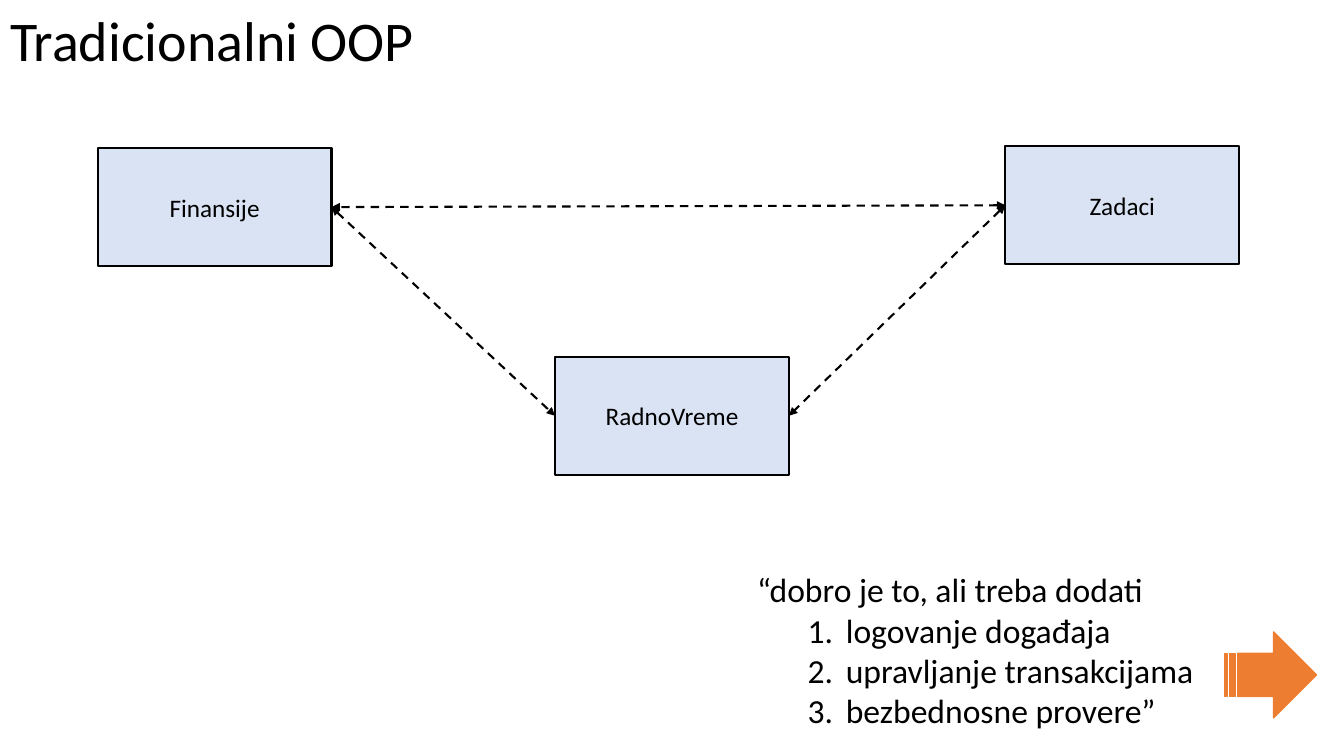
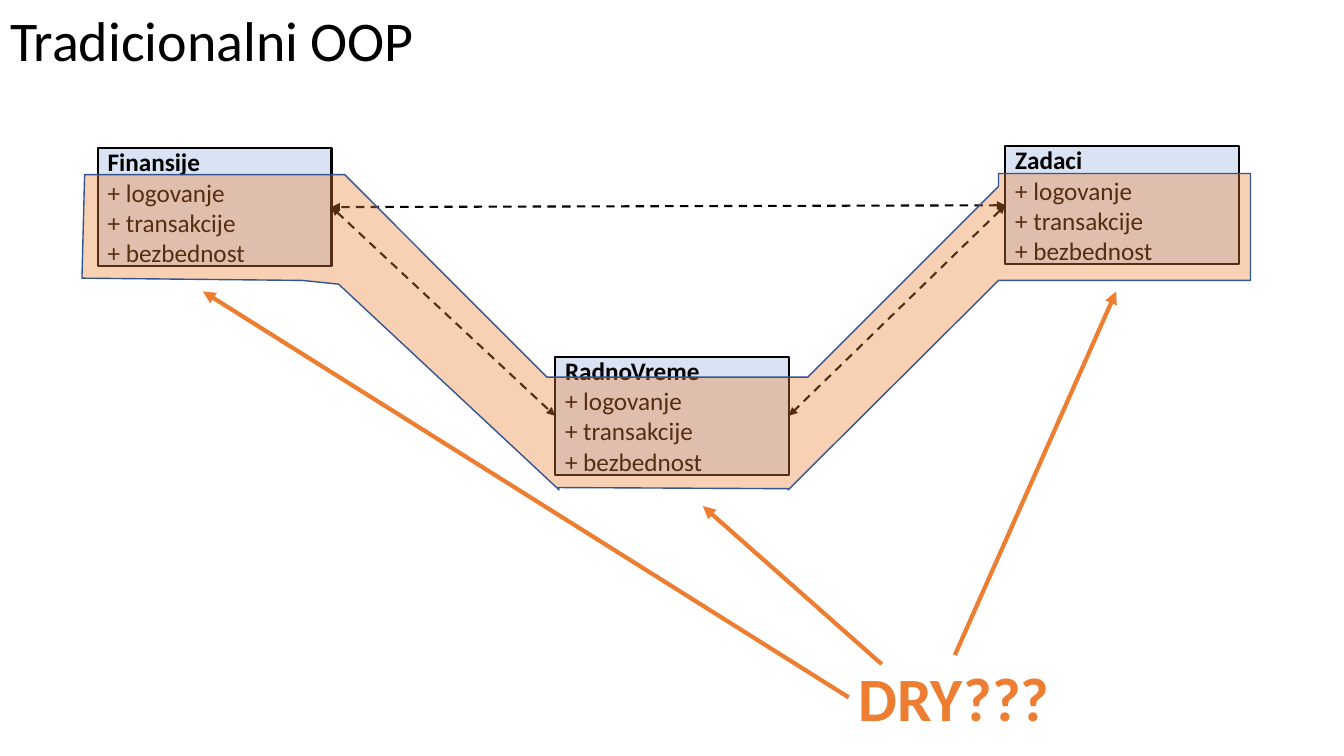
from dataclasses import dataclass

from lxml import etree
from pptx import Presentation, util as u
from pptx.dml.color import RGBColor
from pptx.enum import dml, shapes, text
from pptx.oxml.ns import qn


@dataclass(frozen=True)
class Theme:
    """Colours, font and type sizes shared by the slides."""
    font: str = "Calibri"
    ink: str = "000000"
    box: str = "DAE3F3"
    accent: str = "ED7D31"
    band_edge: str = "325491"
    title: int = 40
    shout: int = 44
    quote: int = 24
    label: int = 18
    thin: float = 1
    medium: float = 1.5
    thick: float = 3


THEME = Theme()
WIDTH, HEIGHT = u.Inches(13.333), u.Inches(7.5)
BOX_SIZE = (17.4, 15.6)
# Left and top of each class box, in percent of the slide
BOXES = {"Finansije": (7.27, 19.6), "Zadaci": (74.8, 19.35), "RadnoVreme": (41.3, 47.2)}
LEFT_SITE, RIGHT_SITE = 1, 3
LINKS = [
    ("Finansije", RIGHT_SITE, "RadnoVreme", LEFT_SITE),
    ("Zadaci", LEFT_SITE, "RadnoVreme", RIGHT_SITE),
    ("Zadaci", LEFT_SITE, "Finansije", RIGHT_SITE),
]
CONCERNS = ["+ logovanje", "+ transakcije", "+ bezbednost"]
BAND = [
    (6.3, 23.1), (25.65, 23.1), (40.7, 49.9), (60.1, 49.9),
    (74.3, 24.65), (74.3, 22.95), (93.05, 22.95), (93.05, 37.1),
    (74.3, 37.1), (58.65, 64.8), (58.65, 64.65), (41.55, 64.5),
    (41.6, 64.8), (25.2, 37.6), (22.5, 37.1), (6.1, 36.8),
]
POINTERS = [
    ((71.05, 86.65), (83.05, 38.55)),
    ((65.6, 87.85), (52.3, 66.95)),
    ((63.15, 92.25), (15.1, 38.55)),
]


def place(across, down):
    """Turn percentages of the slide into lengths."""
    return round(WIDTH * across / 100), round(HEIGHT * down / 100)


def write_text(shape, lines, size, color=THEME.ink, bold_lines=0, wrap=True,
               align=text.PP_ALIGN.LEFT, anchor=text.MSO_ANCHOR.TOP):
    """Fill a shape with one paragraph per line; the first bold_lines are bold."""
    frame = shape.text_frame
    frame.text = "\n".join(lines)
    frame.auto_size = text.MSO_AUTO_SIZE.NONE
    frame.word_wrap = wrap
    frame.vertical_anchor = anchor
    for index, paragraph in enumerate(frame.paragraphs):
        paragraph.alignment = align
        font = paragraph.runs[0].font
        font.name, font.size = THEME.font, u.Pt(size)
        font.bold = index < bold_lines
        font.color.rgb = RGBColor.from_string(color)
    return frame


def paint(shape, fill, line, weight):
    """Give a shape a plain fill and outline without a shadow."""
    shape.shadow.inherit = False
    shape.fill.solid()
    shape.fill.fore_color.rgb = RGBColor.from_string(fill)
    shape.line.color.rgb = RGBColor.from_string(line)
    shape.line.width = u.Pt(weight)


def add_text(slide, position, extent, lines, **text_format):
    """Add an unwrapped text box."""
    box = slide.shapes.add_textbox(*place(*position), *place(*extent))
    return write_text(box, lines, wrap=False, **text_format)


def number_paragraph(paragraph):
    """Turn a paragraph into an item of an indented numbered list."""
    paragraph.level = 1
    properties = paragraph._p.get_or_add_pPr()
    properties.set("marL", str(u.Inches(0.88)))
    properties.set("indent", str(u.Inches(-0.38)))
    etree.SubElement(properties, qn("a:buAutoNum"), type="arabicPeriod")


def add_line(slide, start, end, color, weight, dashed=False, both_ends=False):
    """Add an arrow from start to end."""
    line = slide.shapes.add_connector(
        shapes.MSO_CONNECTOR.STRAIGHT, *place(*start), *place(*end))
    line.line.color.rgb = RGBColor.from_string(color)
    line.line.width = u.Pt(weight)
    if dashed:
        line.line.dash_style = dml.MSO_LINE.DASH
    outline = line.line._get_or_add_ln()
    for tag in ("a:headEnd", "a:tailEnd") if both_ends else ("a:tailEnd",):
        etree.SubElement(outline, qn(tag), type="triangle")
    etree.SubElement(line._element.spPr, qn("a:effectLst"))
    return line


def add_diagram(slide, details=()):
    """Add the three class boxes, with optional detail lines, and their links."""
    boxes = {}
    for name, position in BOXES.items():
        box = slide.shapes.add_shape(
            shapes.MSO_SHAPE.RECTANGLE, *place(*position), *place(*BOX_SIZE))
        paint(box, THEME.box, THEME.ink, THEME.medium)
        write_text(box, [name, *details], size=THEME.label,
                   bold_lines=1 if details else 0,
                   align=text.PP_ALIGN.LEFT if details else text.PP_ALIGN.CENTER,
                   anchor=text.MSO_ANCHOR.MIDDLE)
        boxes[name] = box
    for source, source_site, target, target_site in LINKS:
        link = add_line(slide, BOXES[source], BOXES[target], THEME.ink,
                        THEME.medium, dashed=True, both_ends=True)
        link.begin_connect(boxes[source], source_site)
        link.end_connect(boxes[target], target_site)


def add_band(slide, points):
    """Add the translucent band that covers the repeated concerns."""
    corners = [place(*point) for point in points]
    builder = slide.shapes.build_freeform(*corners[0])
    builder.add_line_segments(corners[1:], close=True)
    band = builder.convert_to_shape()
    paint(band, THEME.accent, THEME.band_edge, THEME.thin)
    color = band._element.spPr.find(qn("a:solidFill")).find(qn("a:srgbClr"))
    etree.SubElement(color, qn("a:alpha"), val="36000")


def add_slide(presentation, title):
    """Add a slide with its title in the top left corner."""
    slide = presentation.slides.add_slide(presentation.slide_layouts[5])
    heading = slide.shapes.title
    heading.left, heading.top = place(0, 0)
    heading.width, heading.height = place(31.9, 10.3)
    write_text(heading, [title], size=THEME.title, wrap=False)
    return slide


def add_request_slide(presentation):
    """Show the classes and the request for more features."""
    slide = add_slide(presentation, "Tradicionalni OOP")
    add_diagram(slide)
    request = add_text(slide, (55.6, 74.65), (34.3, 22.95), [
        "“dobro je to, ali treba dodati",
        "logovanje događaja",
        "upravljanje transakcijama",
        "bezbednosne provere”",
    ], size=THEME.quote)
    for paragraph in request.paragraphs[1:]:
        number_paragraph(paragraph)
    arrow = slide.shapes.add_shape(
        shapes.MSO_SHAPE.STRIPED_RIGHT_ARROW, *place(91.1, 83.6), *place(6.85, 11.35))
    paint(arrow, THEME.accent, THEME.accent, THEME.thin)


def add_repetition_slide(presentation):
    """Show the same concerns repeated in every class."""
    slide = add_slide(presentation, "Tradicionalni OOP")
    add_diagram(slide, CONCERNS)
    add_band(slide, BAND)
    add_text(slide, (63.15, 86.65), (15.75, 11.2), ["DRY???"],
             size=THEME.shout, color=THEME.accent, bold_lines=1)
    for start, end in POINTERS:
        add_line(slide, start, end, THEME.accent, THEME.thick)


def main():
    """Build and save the presentation."""
    presentation = Presentation()
    presentation.slide_width, presentation.slide_height = WIDTH, HEIGHT
    add_request_slide(presentation)
    add_repetition_slide(presentation)
    presentation.save("out.pptx")


main()
